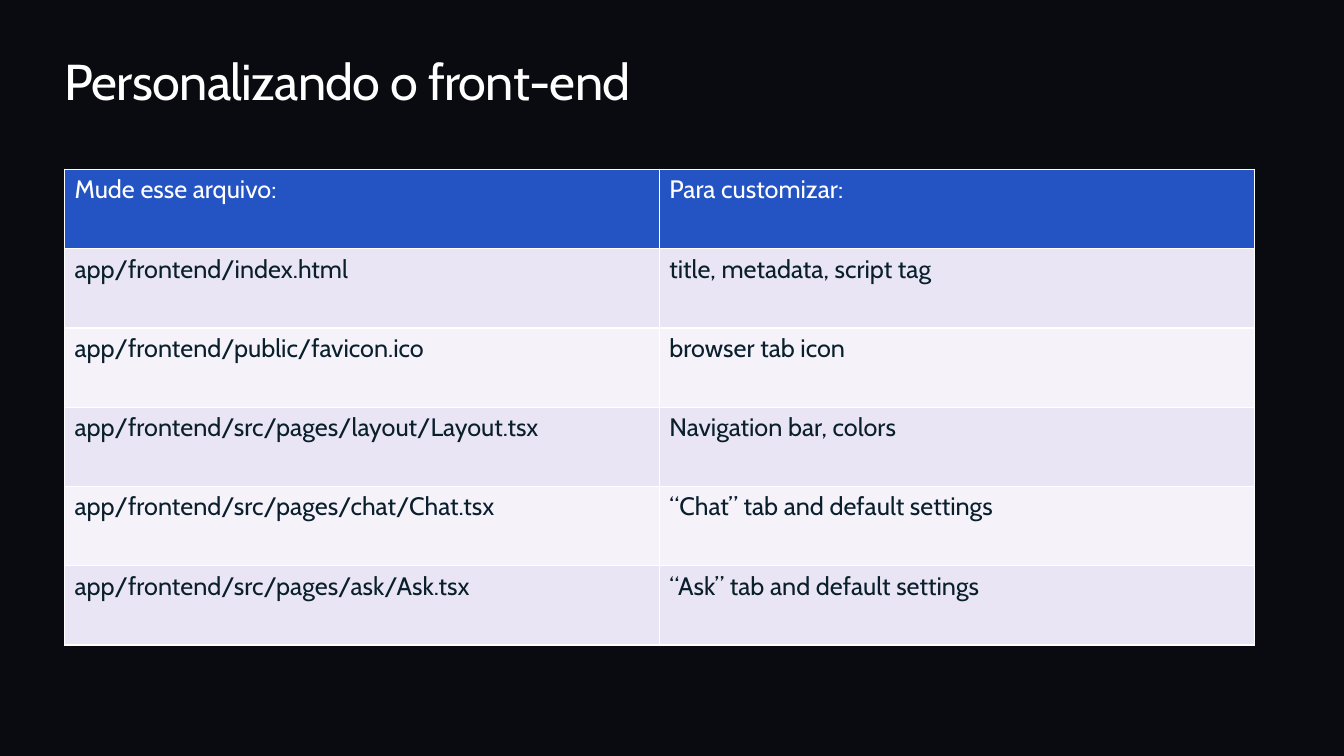
from lxml.etree import SubElement
from pptx import Presentation
from pptx.dml.color import RGBColor
from pptx.enum.text import MSO_ANCHOR, MSO_AUTO_SIZE
from pptx.oxml.ns import qn
from pptx.util import Inches, Pt

NIGHT = RGBColor(0x0A, 0x0B, 0x10)
WHITE = RGBColor(0xFF, 0xFF, 0xFF)
BLUE = RGBColor(0x24, 0x54, 0xC3)
INK = RGBColor(0x09, 0x1F, 0x2C)
LILAC = RGBColor(0xEA, 0xE5, 0xF4)
PALE = RGBColor(0xF5, 0xF2, 0xFA)

FILE_GUIDE = [
    ("Mude esse arquivo:", "Para customizar:"),
    ("app/frontend/index.html", "title, metadata, script tag"),
    ("app/frontend/public/favicon.ico", "browser tab icon"),
    ("app/frontend/src/pages/layout/Layout.tsx", "Navigation bar, colors"),
    ("app/frontend/src/pages/chat/Chat.tsx", "“Chat” tab and default settings"),
    ("app/frontend/src/pages/ask/Ask.tsx", "“Ask” tab and default settings"),
]


def write(frame, text, size=18, color=INK, font="Cabin", spacing=None):
    run = frame.paragraphs[0].add_run()
    run.text = text
    run.font.name = font
    run.font.size = Pt(size)
    run.font.color.rgb = color
    if spacing is not None:
        run.font._element.set("spc", str(round(spacing * 100)))


def add_borders(cell, color=WHITE, width=1):
    properties = cell._tc.get_or_add_tcPr()
    for side in "LRTB":
        line = SubElement(properties, qn(f"a:ln{side}"), w=str(Pt(width)))
        fill = SubElement(line, qn("a:solidFill"))
        SubElement(fill, qn("a:srgbClr"), val=str(color))


class Deck:
    def __init__(self, width=13.33, height=7.5, grid=100):
        self.prs = Presentation()
        self.prs.slide_width = Inches(width)
        self.prs.slide_height = Inches(height)
        self.column = self.prs.slide_width / grid
        self.row = self.prs.slide_height / grid
        self.slide = self.prs.slides.add_slide(self.prs.slide_layouts[6])
        background = self.slide.background.fill
        background.solid()
        background.fore_color.rgb = NIGHT

    def place(self, left, top, width, height):
        units = (self.column, self.row) * 2
        return [round(n * unit) for n, unit in zip((left, top, width, height), units)]

    def title(self, text, *area):
        frame = self.slide.shapes.add_textbox(*self.place(*area)).text_frame
        frame.word_wrap = True
        frame.auto_size = MSO_AUTO_SIZE.SHAPE_TO_FIT_TEXT
        frame.vertical_anchor = MSO_ANCHOR.TOP
        frame.margin_left = frame.margin_top = 0
        frame.margin_right = frame.margin_bottom = 0
        write(frame, text, size=36, color=WHITE, spacing=-0.5)

    def table(self, entries, *area):
        table = self.slide.shapes.add_table(
            len(entries), len(entries[0]), *self.place(*area)).table
        for r, entry in enumerate(entries):
            band = BLUE if r == 0 else LILAC if r % 2 else PALE
            for c, text in enumerate(entry):
                cell = table.cell(r, c)
                add_borders(cell)
                cell.fill.solid()
                cell.fill.fore_color.rgb = band
                write(cell.text_frame, text, color=INK if r else WHITE)


def main():
    deck = Deck()
    deck.title("Personalizando o front-end", 4.8, 6.67, 90.4, 8.13)
    deck.table(FILE_GUIDE, 4.8, 22.4, 88.52, 62.93)
    deck.prs.save("out.pptx")


if __name__ == "__main__":
    main()
